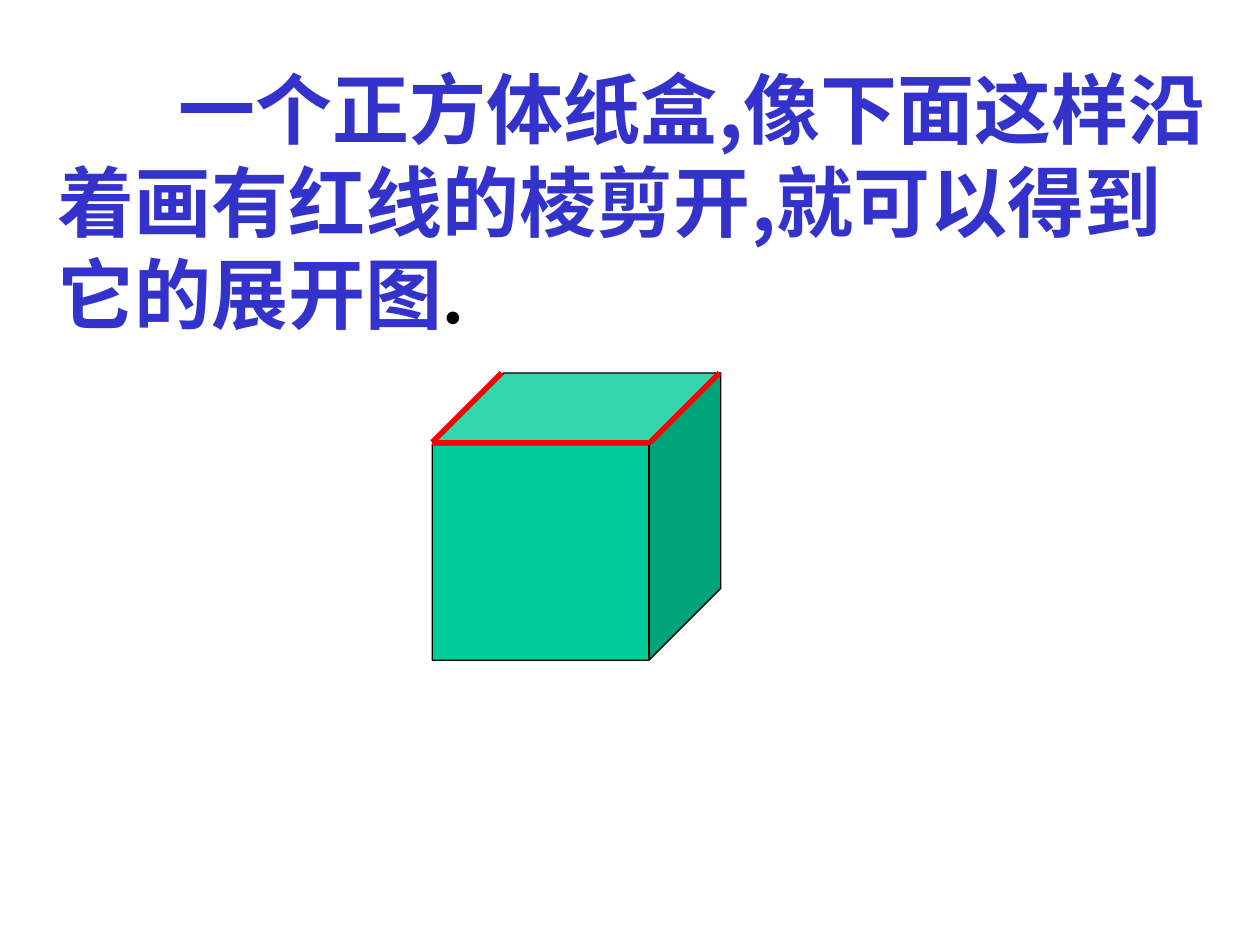
import pptx
import pptx.dml.color
import pptx.enum.shapes
import pptx.oxml.ns
import pptx.util
from lxml import etree
from pptx.util import Inches

CJK_FONT = "Noto Sans CJK JP"


def color(hex_string):
    return pptx.dml.color.RGBColor.from_string(hex_string)


presentation = pptx.Presentation()
presentation.slide_width = Inches(10)
presentation.slide_height = Inches(7.5)
slide = presentation.slides.add_slide(presentation.slide_layouts[6])

# Paper box
cube = slide.shapes.add_shape(
    pptx.enum.shapes.MSO_SHAPE.CUBE,
    Inches(3.43), Inches(2.96), Inches(2.29), Inches(2.28))
cube.adjustments[0] = 0.25
cube.shadow.inherit = False
cube.fill.solid()
cube.fill.fore_color.rgb = color("00CC99")
cube.line.color.rgb = color("000000")
cube.line.width = pptx.util.Pt(0.75)

# Statement
statement = slide.shapes.add_textbox(
    Inches(0.35), Inches(0.44), Inches(9.25), Inches(2.3))
text_frame = statement.text_frame
text_frame.word_wrap = True
text_frame.margin_left = Inches(0.11)
text_frame.margin_right = Inches(0.03)
paragraph = text_frame.paragraphs[0]
paragraph.line_spacing = pptx.util.Pt(52.8)
paragraph._p.get_or_add_pPr().set("indent", str(Inches(0.96)))
for text, font_name, text_color in (
    ("一个正方体纸盒,像下面这样沿着画有红线的棱剪开,就可以得到它的展开图", CJK_FONT, "3333CC"),
    (".", "Times New Roman", "000000"),
):
    run = paragraph.add_run()
    run.text = text
    run.font.size = pptx.util.Pt(44)
    run.font.bold = True
    run.font.color.rgb = color(text_color)
    run.font.name = font_name
    east_asian = etree.SubElement(run._r.get_or_add_rPr(), pptx.oxml.ns.qn("a:ea"))
    east_asian.set("typeface", CJK_FONT)

# Edges to cut
front_left, front_right = (3.43, 3.51), (5.16, 3.51)
back_left, back_right = (3.98, 2.96), (5.71, 2.96)
for start, end in (
    (front_left, front_right),
    (front_left, back_left),
    (front_right, back_right),
):
    edge = slide.shapes.add_connector(
        pptx.enum.shapes.MSO_CONNECTOR.STRAIGHT,
        *(Inches(value) for value in start + end))
    edge.line.color.rgb = color("FF0000")
    edge.line.width = pptx.util.Pt(3)
    etree.SubElement(edge._element.spPr, pptx.oxml.ns.qn("a:effectLst"))

presentation.save("out.pptx")
